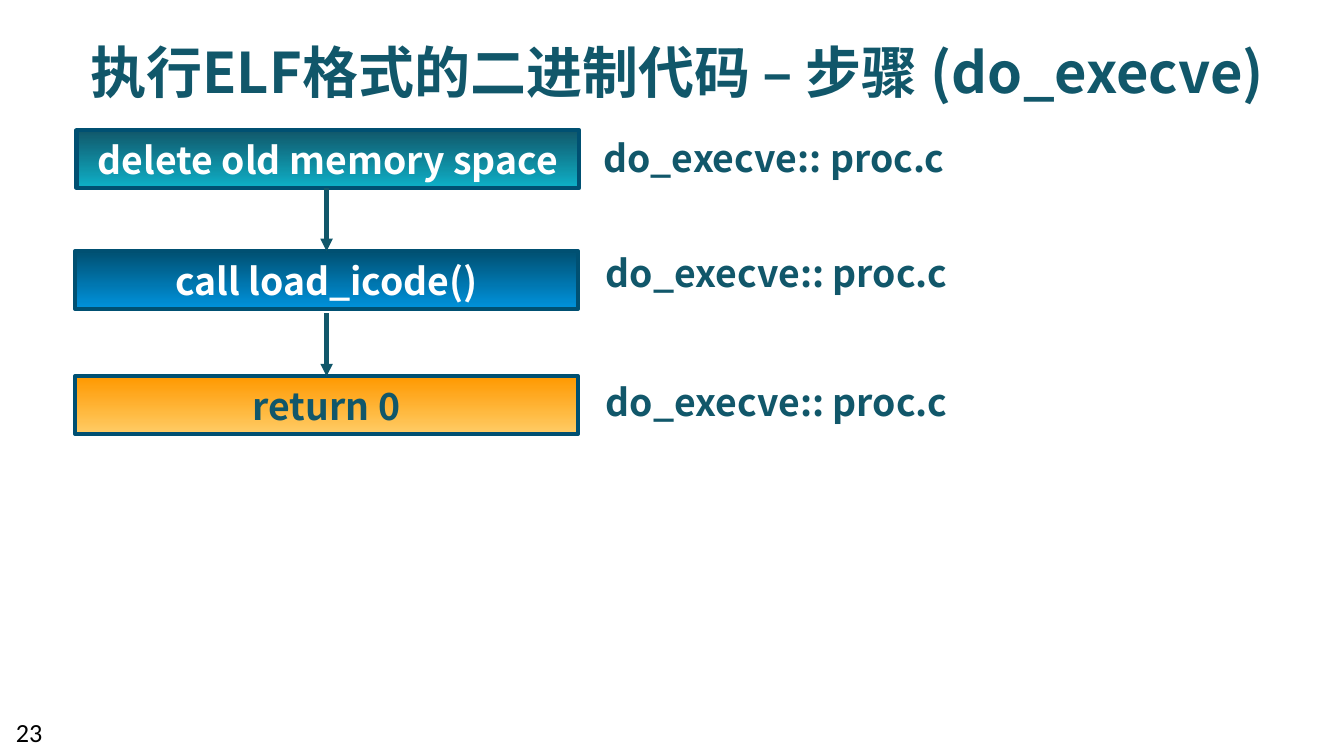
from lxml import etree
from pptx import Presentation
from pptx import util as u
from pptx.dml.color import RGBColor
from pptx.enum import shapes, text
from pptx.oxml.ns import qn

TITLE = "执行ELF格式的二进制代码 – 步骤 (do_execve)"
PAGE = "23"
# step, source file, fill name, text colour, box left and top, label left and top
STEPS = [
    ("delete old memory space", "do_execve:: proc.c", "teal", "white", (0.57, 0.97), (4.39, 0.96)),
    ("call load_icode()", "do_execve:: proc.c", "blue", "white", (0.56, 1.87), (4.41, 1.81)),
    ("return 0", "do_execve:: proc.c", "amber", "ink", (0.56, 2.8), (4.41, 2.77)),
]
STARTS = [1.4, 2.33]  # where each arrow leaves the step above

THEME = {
    "font": "Noto Sans CJK SC", "plain": "Calibri",
    "ink": "11576A", "white": "FFFFFF", "black": "000000", "edge": "005072",
    "teal": ("0EB1C8", "11576A"),
    "blue": ("0093DD", "005072"),
    "amber": ("FFCC66", "FF9900"),
    "title": 30, "body": 20, "page": 14, "line": 2.25,
}
WIDE = 10
HIGH = WIDE * 9 / 16
BOX = (3.74, 0.43)
LABEL = (2.76, 0.44)


def color(name):
    return RGBColor.from_string(THEME[name])


def write(shape, words, size, ink, align, font="font", bold=True, wrap=True):
    frame = shape.text_frame
    frame.text = words
    frame.word_wrap = wrap
    par = frame.paragraphs[0]
    par.alignment = align
    for run in par.runs:
        run.font.name = THEME[font]
        run.font.size = u.Pt(THEME[size])
        run.font.bold = bold
        run.font.color.rgb = color(ink)
        east = etree.SubElement(run.font._element, qn("a:ea"))
        east.set("typeface", THEME[font])


def label(slide, spot, size, *args, **kwargs):
    area = slide.shapes.add_textbox(*map(u.Inches, spot + size))
    write(area, *args, **kwargs)


def step(slide, words, fill, ink, spot):
    box = slide.shapes.add_shape(shapes.MSO_SHAPE.RECTANGLE, *map(u.Inches, spot + BOX))
    box.shadow.inherit = False
    box.fill.gradient()
    box.fill.gradient_angle = 90
    for stop, tint in zip(box.fill.gradient_stops, THEME[fill]):
        stop.color.rgb = RGBColor.from_string(tint)
    box.line.color.rgb = color("edge")
    box.line.width = u.Pt(THEME["line"])
    write(box, words, "body", ink, text.PP_ALIGN.CENTER, wrap=False)
    box.text_frame.vertical_anchor = text.MSO_ANCHOR.MIDDLE
    return box


def arrow(slide, start, box):
    """Draw an arrow straight down to the middle of the box's top side."""
    mid = box.left + box.width // 2
    line = slide.shapes.add_connector(
        shapes.MSO_CONNECTOR.STRAIGHT, mid, u.Inches(start), mid, box.top)
    line.end_connect(box, 0)
    line.line.color.rgb = color("ink")
    line.line.width = u.Pt(THEME["line"])
    etree.SubElement(line.line._get_or_add_ln(), qn("a:tailEnd")).set("type", "triangle")
    etree.SubElement(line._element.spPr, qn("a:effectLst"))


def main():
    deck = Presentation()
    deck.slide_width, deck.slide_height = u.Inches(WIDE), u.Inches(HIGH)
    slide = deck.slides.add_slide(deck.slide_layouts[6])
    left, center = text.PP_ALIGN.LEFT, text.PP_ALIGN.CENTER

    label(slide, (0.39, 0.23), (9.3, 0.61), TITLE, "title", "ink", center)
    boxes = []
    for words, source, fill, ink, spot, side in STEPS:
        boxes.append(step(slide, words, fill, ink, spot))
        label(slide, side, LABEL, source, "body", "ink", left, wrap=False)
    for start, box in zip(STARTS, boxes[1:]):
        arrow(slide, start, box)
    label(slide, (0.02, 5.28), (0.48, 0.3), PAGE, "page", "black", left,
          font="plain", bold=False)
    deck.save("out.pptx")


if __name__ == "__main__":
    main()
